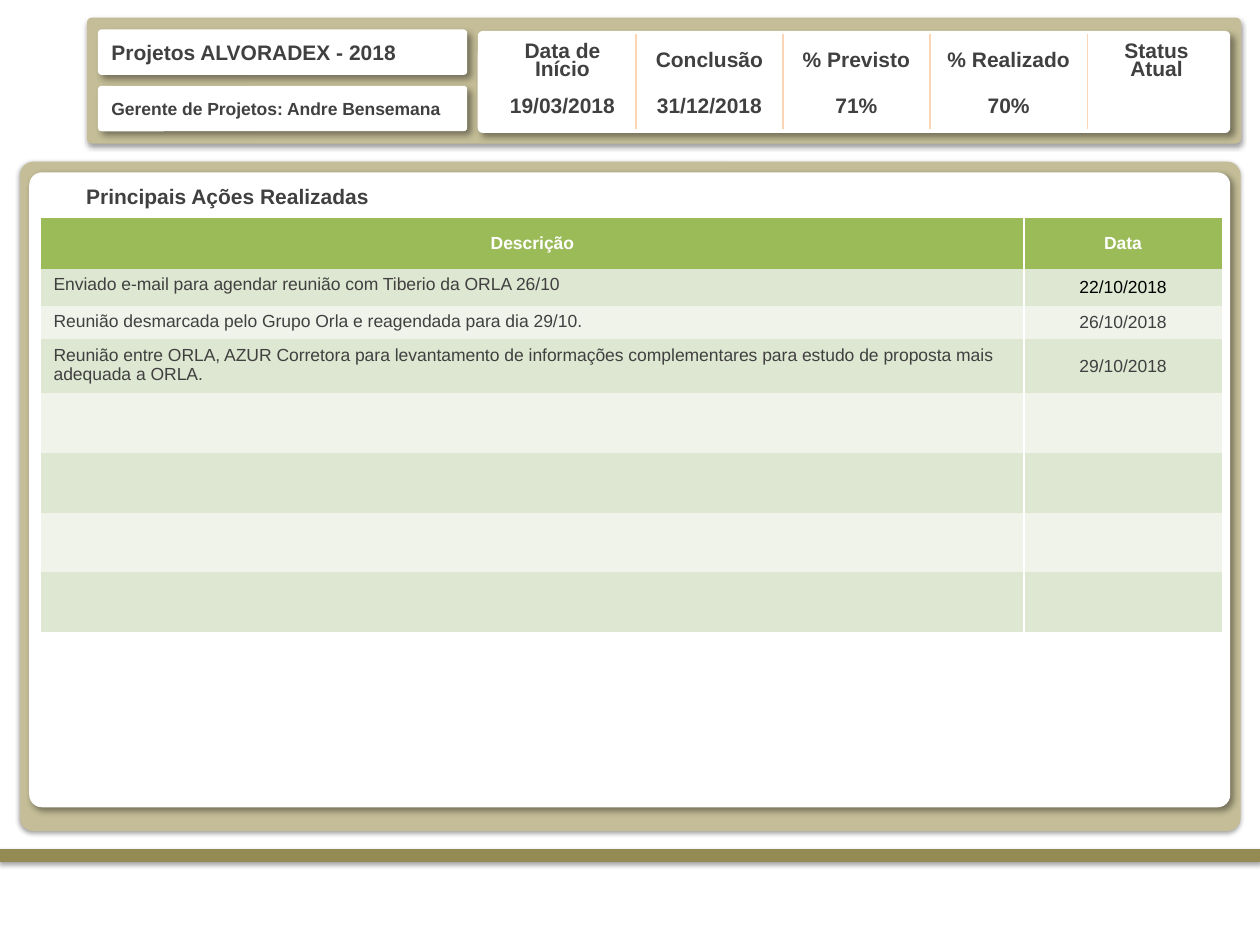
from lxml import etree
from pptx import Presentation
from pptx.dml.color import RGBColor
from pptx.enum.shapes import MSO_SHAPE
from pptx.enum.text import MSO_ANCHOR, MSO_AUTO_SIZE, PP_ALIGN
from pptx.oxml import parse_xml
from pptx.oxml.ns import nsdecls, qn
from pptx.util import Pt

ROUND = MSO_SHAPE.ROUNDED_RECTANGLE
MIDDLE, TOP = MSO_ANCHOR.MIDDLE, MSO_ANCHOR.TOP
LEFT, CENTER, JUSTIFY = PP_ALIGN.LEFT, PP_ALIGN.CENTER, PP_ALIGN.JUSTIFY
NO_AUTOFIT = MSO_AUTO_SIZE.NONE

COLORS = {
    "bar": "948A54", "frame": "C4BD97", "white": "FFFFFF", "text": "404040",
    "black": "000000", "divider": "FCD5B5", "head": "9BBB59",
    "odd": "DEE7D1", "even": "EFF3EA",
}
# Blur, distance, angle in degrees, opacity in percent
FRAME_SHADOW = (3.1, 1.6, 90, 38)
CARD_SHADOW = (4, 3, 45, 40)
PLAIN_TABLE = "{2D5ABB26-0587-4C30-8999-92F81FD0307C}"

HEADING = {"name": "Arial", "size": Pt(12), "bold": True}
LABEL = {"name": "Arial", "size": Pt(10), "bold": True}
BODY = {"name": "Arial", "size": Pt(10), "bold": False}

STATUS = [
    ("Data de\nInício", "19/03/2018"),
    ("Conclusão", "31/12/2018"),
    ("% Previsto", "71%"),
    ("% Realizado", "70%"),
    ("Status\nAtual", ""),
]
ACTIONS = [
    ("Enviado e-mail para agendar reunião com Tiberio da ORLA 26/10", "22/10/2018"),
    ("Reunião desmarcada pelo Grupo Orla e reagendada para dia 29/10.", "26/10/2018"),
    ("Reunião entre ORLA, AZUR Corretora para levantamento de informações "
     "complementares para estudo de proposta mais adequada a ORLA.", "29/10/2018"),
]
EMPTY_ACTIONS = 4


def rgb(name):
    return RGBColor.from_string(COLORS[name])


def write(tf, text, font, color="text", align=LEFT, spacing=None):
    """Put each line of text in its own paragraph."""
    for i, line in enumerate(text.split("\n")):
        p = tf.add_paragraph() if i else tf.paragraphs[0]
        p.alignment = align
        if spacing:
            p.line_spacing = spacing
        r = p.add_run()
        r.text = line
        for key, value in font.items():
            setattr(r.font, key, value)
        r.font.color.rgb = rgb(color)


def add_shadow(sp, blur, distance, angle, opacity):
    sp.shadow.inherit = False
    effects = sp.element.spPr.find(qn("a:effectLst"))
    effects.append(parse_xml(
        f'<a:outerShdw {nsdecls("a")} blurRad="{Pt(blur)}" dist="{Pt(distance)}" '
        f'dir="{angle * 60000}" algn="ctr" rotWithShape="0">'
        f'<a:srgbClr val="{COLORS["black"]}"><a:alpha val="{opacity * 1000}"/>'
        '</a:srgbClr></a:outerShdw>'))


def add_panel(s, box, radius, color, shadow):
    sp = s.shapes.add_shape(ROUND, *map(Pt, box))
    sp.adjustments[0] = radius
    sp.fill.solid()
    sp.fill.fore_color.rgb = rgb(color)
    sp.line.fill.background()
    add_shadow(sp, *shadow)
    return sp


def add_label(s, top, text, font):
    sp = add_panel(s, (56, top, 211, 26), 0.08, "white", CARD_SHADOW)
    sp.text_frame.vertical_anchor = MIDDLE
    sp.text_frame.word_wrap = True
    write(sp.text_frame, text, font)


def add_title(s, text):
    title = s.shapes.title
    for key, value in zip(("left", "top", "width", "height"), (42, 101, 640, 22)):
        setattr(title, key, Pt(value))
    tf = title.text_frame
    tf.auto_size = NO_AUTOFIT
    tf.vertical_anchor = MIDDLE
    write(tf, text, HEADING)
    s.shapes.element.append(title.element)  # bring in front of the panels


def add_grid(s, left, top, widths, heights):
    """Add a table without style or banding."""
    frame = s.shapes.add_table(len(heights), len(widths), Pt(left), Pt(top),
                               Pt(sum(widths)), Pt(sum(heights)))
    table = frame.table
    table.first_row = table.horz_banding = False
    frame.element.find(".//" + qn("a:tableStyleId")).text = PLAIN_TABLE
    for column, width in zip(table.columns, widths):
        column.width = Pt(width)
    for row, height in zip(table.rows, heights):
        row.height = Pt(height)
    return table


def add_dividers(table, color):
    """Draw the lines between the columns."""
    last = len(table.columns) - 1
    for row in table.rows:
        for i, cell in enumerate(row.cells):
            props = cell._tc.get_or_add_tcPr()
            sides = [tag for tag, shown in (("a:lnL", i > 0), ("a:lnR", i < last)) if shown]
            for position, tag in enumerate(sides):
                line = etree.Element(qn(tag), w=str(Pt(1)))
                fill = etree.SubElement(line, qn("a:solidFill"))
                etree.SubElement(fill, qn("a:srgbClr"), val=COLORS[color])
                props.insert(position, line)


def add_status_table(s):
    table = add_grid(s, 279.4, 19.5, (84, 84, 84, 90, 79), (32, 21.6))
    for col, texts in enumerate(STATUS):
        for row, (text, spacing) in enumerate(zip(texts, (0.75, 0.65))):
            cell = table.cell(row, col)
            cell.vertical_anchor = MIDDLE
            cell.margin_top = cell.margin_bottom = 0
            cell.fill.background()
            if text:
                write(cell.text_frame, text, HEADING, align=CENTER, spacing=spacing)
    add_dividers(table, "divider")


def add_actions_table(s):
    heights = [29, 21, 19.2, 31] + [34.1] * EMPTY_ACTIONS
    table = add_grid(s, 23.4, 124.6, (561.6, 113.4), heights)
    rows = [("Descrição", "Data")] + ACTIONS + [("", "")] * EMPTY_ACTIONS
    for i, texts in enumerate(rows):
        for col, text in enumerate(texts):
            cell = table.cell(i, col)
            cell.fill.solid()
            cell.fill.fore_color.rgb = rgb("head" if i == 0 else "odd" if i % 2 else "even")
            cell.vertical_anchor = MIDDLE if i == 0 or col == 1 else TOP
            if not text:
                continue
            color = "white" if i == 0 else "black" if (i, col) == (1, 1) else "text"
            align = CENTER if i == 0 or col == 1 else LEFT if i == 3 else JUSTIFY
            write(cell.text_frame, text, BODY if i else LABEL, color, align)
    add_dividers(table, "white")


def main():
    prs = Presentation()
    prs.slide_width, prs.slide_height = Pt(720), Pt(540)
    s = prs.slides.add_slide(prs.slide_layouts[5])

    add_panel(s, (0, 485.3, 720, 7.2), 0, "bar", FRAME_SHADOW)
    add_panel(s, (49.7, 10.1, 659.5, 72), 0.04, "frame", FRAME_SHADOW)
    add_label(s, 16.8, "Projetos ALVORADEX - 2018", HEADING)
    add_label(s, 49, "Gerente de Projetos: Andre Bensemana", LABEL)
    add_panel(s, (273, 17.7, 430, 58.3), 0.05, "white", CARD_SHADOW)
    add_status_table(s)

    add_panel(s, (11.5, 92.4, 697.5, 382.5), 0.02, "frame", FRAME_SHADOW)
    add_panel(s, (16.7, 98.5, 686.3, 362.8), 0.02, "white", CARD_SHADOW)
    add_title(s, "Principais Ações Realizadas")
    add_actions_table(s)
    prs.save("out.pptx")


if __name__ == "__main__":
    main()
